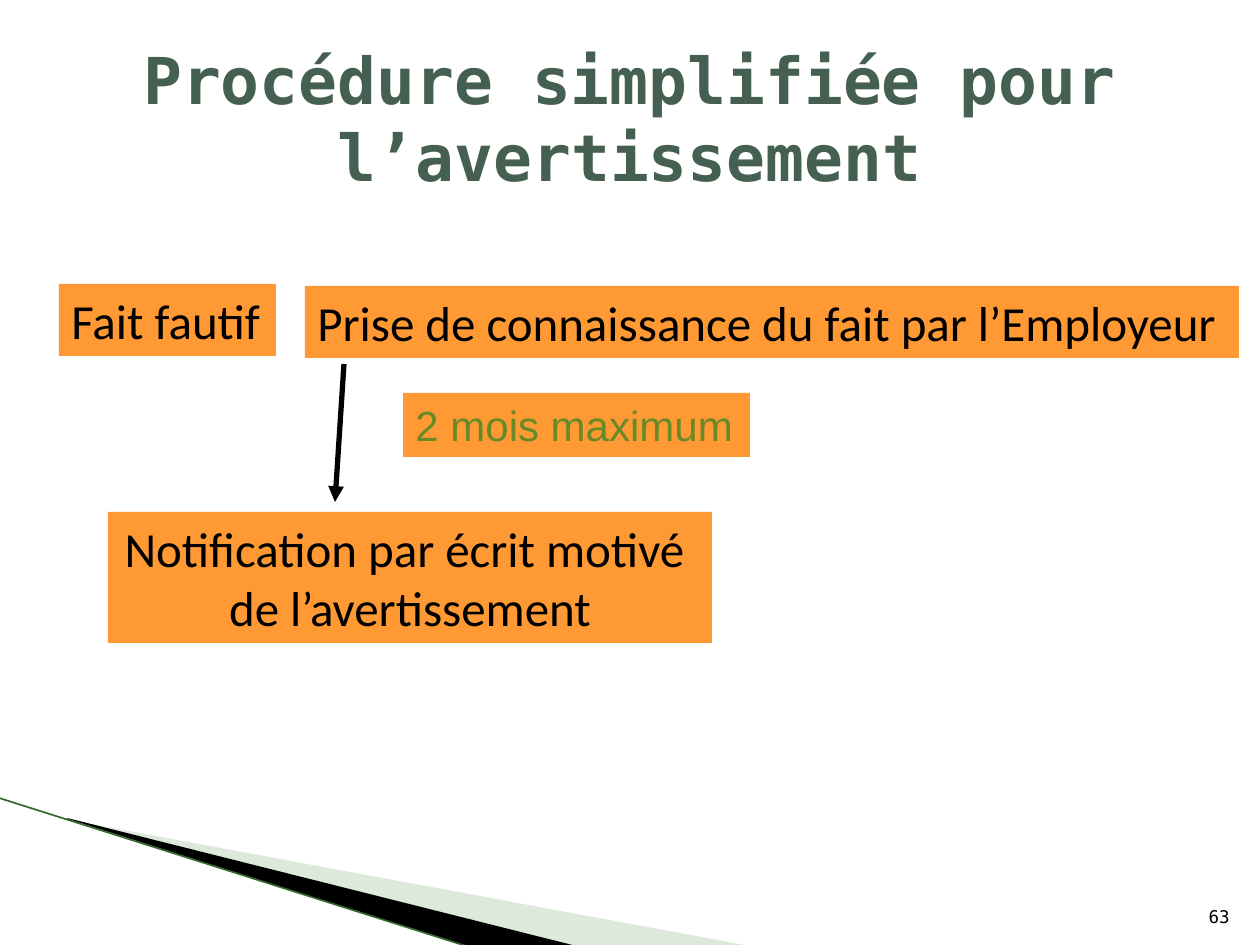
"""Build the slide on the simplified warning procedure."""
from lxml.etree import SubElement
from pptx import Presentation
from pptx.dml.color import RGBColor
from pptx.enum.shapes import MSO_CONNECTOR as Connector, MSO_SHAPE as Shape
from pptx.enum.text import MSO_ANCHOR as Anchor, PP_ALIGN as Align
from pptx.oxml.ns import qn
from pptx.util import Pt

PX = 914400 // 126
COLORS = {"title": "455F51", "box": "FF9933", "black": "000000",
          "delay": "678A26", "pale": "AACAA3", "edge": "35682D"}
SANS, MONO, ARIAL = "Calibri", "DejaVu Sans Mono", "Arial"

SWOOSHES = [
    ([(69, 820), (750, 946), (575, 946), (69, 819)], "pale", 40),
    ([(67, 818), (576, 946), (469, 947), (68, 819)], "black", 100),
]
EDGE = ((-1, 798), (469, 947), "edge", 0.95)
ARROW = ((344, 364), (335, 502), "black", 3)
TITLE = ("Procédure simplifiée pour l’avertissement", (63, 38, 1134, 158))
NUMBER = ("63", (1192, 883, 50, 50))
STEPS = [
    (["Fait fautif"], (59, 284, 217, 72), Align.LEFT, SANS, 28, "black"),
    (["Notification par écrit motivé ", "de l’avertissement"],
     (108, 512, 604, 131), Align.CENTER, SANS, 28, "black"),
    (["2 mois maximum"], (403, 393, 347, 64), Align.LEFT, ARIAL, 24, "delay"),
    (["Prise de connaissance du fait par l’Employeur"],
     (305, 286, 934, 72), Align.LEFT, SANS, 28, "black"),
]


def rgb(name):
    return RGBColor.from_string(COLORS[name])


def emu(lengths):
    return [length * PX for length in lengths]


def write(shape, lines, align, font, size, color, bold=False, anchor=Anchor.TOP, wrap=True):
    frame = shape.text_frame
    frame.word_wrap = wrap
    frame.vertical_anchor = anchor
    frame.text = "\n".join(lines)
    for para in frame.paragraphs:
        para.alignment = align
        para.font.name = font
        para.font.size = Pt(size)
        para.font.bold = bold
        para.font.color.rgb = rgb(color)


def paint(shape, color):
    shape.shadow.inherit = False
    shape.fill.solid()
    shape.fill.fore_color.rgb = rgb(color)
    shape.line.fill.background()


def add_swoosh(page, points, color, opacity):
    builder = page.shapes.build_freeform(*points[0], scale=PX)
    builder.add_line_segments(points[1:], close=True)
    swoosh = builder.convert_to_shape()
    paint(swoosh, color)
    if opacity < 100:
        tint = swoosh.fill._xPr.find(".//" + qn("a:srgbClr"))
        SubElement(tint, qn("a:alpha"), val=str(opacity * 1000))


def add_line(page, start, end, color, width, arrow=False):
    line = page.shapes.add_connector(Connector.STRAIGHT, *emu(start + end))
    line.line.color.rgb = rgb(color)
    line.line.width = Pt(width)
    if arrow:
        SubElement(line.line._get_or_add_ln(), qn("a:tailEnd"), type="triangle")
    SubElement(line._element.spPr, qn("a:effectLst"))


def add_step(page, lines, place, align, font, size, color):
    box = page.shapes.add_shape(Shape.RECTANGLE, *emu(place))
    paint(box, "box")
    write(box, lines, align, font, size, color, wrap=False)


def main():
    deck = Presentation()
    deck.slide_width, deck.slide_height = emu((1260, 945))
    page = deck.slides.add_slide(deck.slide_layouts[6])
    for swoosh in SWOOSHES:
        add_swoosh(page, *swoosh)
    add_line(page, *EDGE)
    text, place = TITLE
    write(page.shapes.add_textbox(*emu(place)), [text], Align.CENTER, MONO, 36.9,
          "title", bold=True, anchor=Anchor.MIDDLE)
    for step in STEPS:
        add_step(page, *step)
    add_line(page, *ARROW, arrow=True)
    text, place = NUMBER
    write(page.shapes.add_textbox(*emu(place)), [text], Align.RIGHT, MONO, 10,
          "black", anchor=Anchor.BOTTOM)
    deck.save("out.pptx")


if __name__ == "__main__":
    main()
